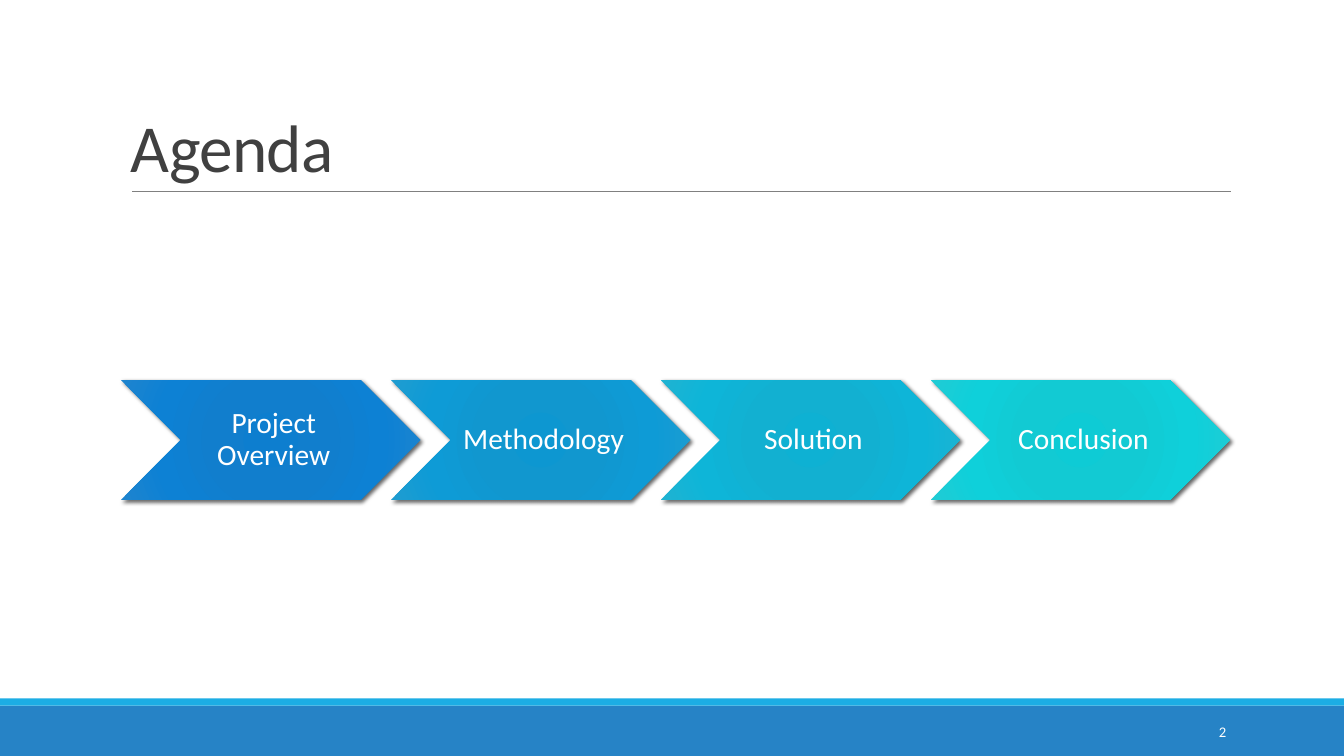
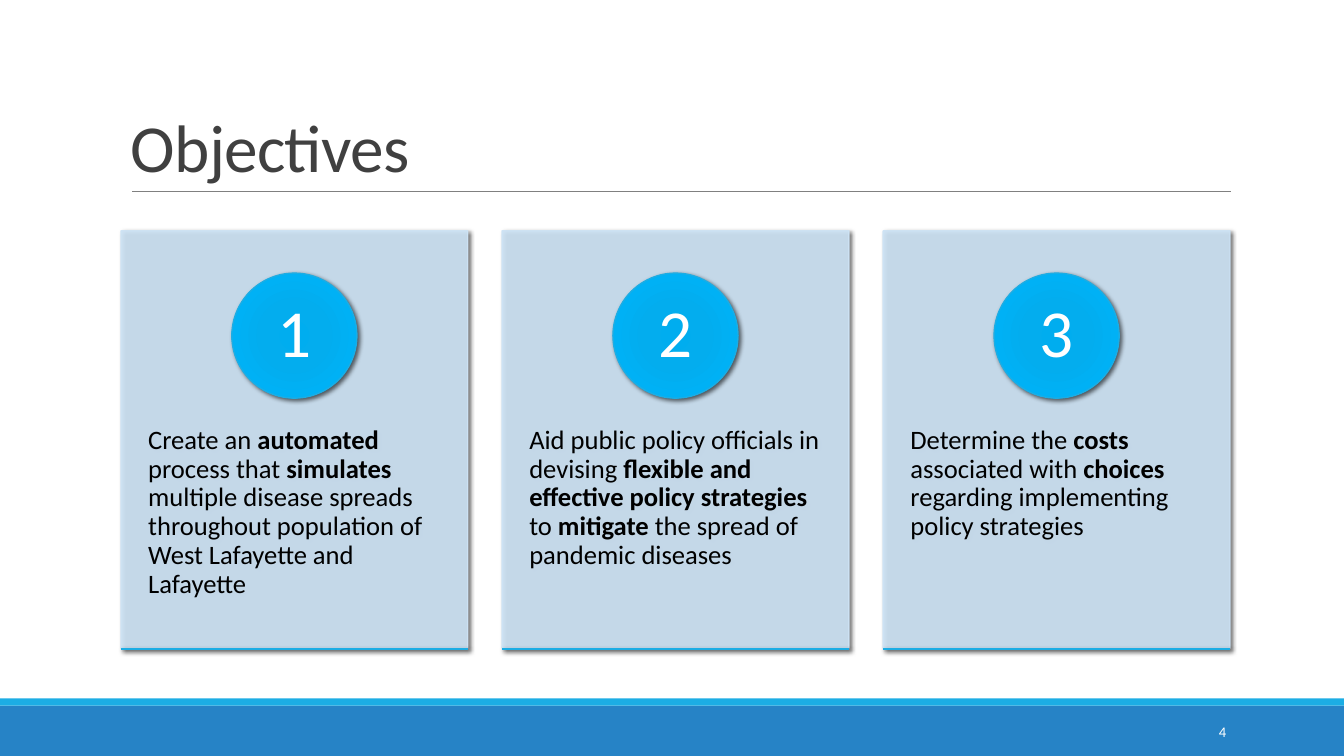
from lxml import etree
from pptx import Presentation
from pptx.dml.color import RGBColor
from pptx.enum.shapes import MSO_CONNECTOR, MSO_SHAPE
from pptx.enum.text import MSO_ANCHOR as Anchor, PP_ALIGN as Align
from pptx.oxml import parse_xml
from pptx.oxml.ns import nsdecls, qn
from pptx.util import Inches, Pt

COLORS = {
    "band": "2683C6", "accent": "1CADE4", "rule": "808080",
    "title": "404040", "white": "FFFFFF", "body": "000000",
    "card": "CDE3F5", "shadow": "000000",
}
FONT = "Calibri"
SLIDE_W, SLIDE_H = 13.33, 7.5
CONTENT_LEFT, CONTENT_W = 1.2, 11
GRADIENT_STOPS = (0, 34, 70, 100)
BADGE_GRADIENT = ("00ADEF", "03ADEE", "00B1F5", "12B1EE")

AGENDA = [
    ("Project Overview", ("0D7ECF", "117ECD", "0D81D4", "1E84CE")),
    ("Methodology", ("0D97D1", "1197CF", "0E9BD6", "1F9CD0")),
    ("Solution", ("0EB1D3", "12B0D1", "0EB5D8", "1FB3D2")),
    ("Conclusion", ("0ECBD5", "12CAD3", "0FD0DA", "20CBD4")),
]
# Text between ** marks is bold.
OBJECTIVES = [
    "Create an **automated** process that **simulates** multiple disease "
    "spreads throughout population of West Lafayette and Lafayette",
    "Aid public policy officials in devising **flexible and effective policy "
    "strategies** to **mitigate** the spread of pandemic diseases",
    "Determine the **costs** associated with **choices** regarding "
    "implementing policy strategies",
]


def rgb(name):
    return RGBColor.from_string(COLORS[name])


def inches(*lengths):
    return [Inches(length) for length in lengths]


def columns(count, width):
    """Left edges of equal columns that span the content width."""
    pitch = (CONTENT_W - width) / (count - 1)
    return [CONTENT_LEFT + i * pitch for i in range(count)]


def add_form(slide, preset, box, fill=None, line=None):
    form = slide.shapes.add_shape(preset, *inches(*box))
    form.shadow.inherit = False
    if fill:
        form.fill.solid()
        form.fill.fore_color.rgb = rgb(fill)
    if line:
        form.line.color.rgb = rgb(line)
        form.line.width = Pt(1)
    else:
        form.line.fill.background()
    return form


def add_line(slide, start, end, color, weight):
    line = slide.shapes.add_connector(MSO_CONNECTOR.STRAIGHT, *inches(*start, *end))
    line.line.color.rgb = rgb(color)
    line.line.width = Pt(weight)
    etree.SubElement(line._element.spPr, qn("a:effectLst"))
    return line


def set_radial_gradient(form, hexes):
    form.fill.gradient()
    stops = "".join(
        f'<a:gs pos="{pos * 1000}"><a:srgbClr val="{color}"/></a:gs>'
        for pos, color in zip(GRADIENT_STOPS, hexes))
    radial = parse_xml(
        f'<a:gradFill {nsdecls("a")} rotWithShape="1"><a:gsLst>{stops}</a:gsLst>'
        '<a:path path="circle"><a:fillToRect l="100000" t="100000" '
        'r="100000" b="100000"/></a:path></a:gradFill>')
    properties = form._element.spPr
    properties.replace(properties.find(qn("a:gradFill")), radial)


def set_opacity(form, percent):
    """Apply to the fill and the outline, before any shadow is cast."""
    for color in form._element.spPr.iter(qn("a:srgbClr")):
        etree.SubElement(color, qn("a:alpha"), val=str(percent * 1000))


def cast_shadow(form, blur=3):
    effects = form._element.spPr.find(qn("a:effectLst"))
    effects.append(parse_xml(
        f'<a:outerShdw {nsdecls("a")} blurRad="{Pt(blur)}" dist="{Pt(2)}" '
        f'dir="2700000" algn="br" rotWithShape="0"><a:srgbClr val="{COLORS["shadow"]}">'
        '<a:alpha val="60000"/></a:srgbClr></a:outerShdw>'))


def write(form, text, size, color, align=Align.LEFT, anchor=Anchor.MIDDLE,
          insets=(0.1, 0.05, 0.1, 0.05), spacing=0.9):
    frame = form.text_frame
    frame.word_wrap = True
    frame.vertical_anchor = anchor
    (frame.margin_left, frame.margin_top,
     frame.margin_right, frame.margin_bottom) = inches(*insets)
    paragraph = frame.paragraphs[0]
    paragraph.alignment = align
    paragraph.line_spacing = spacing
    font = paragraph.font
    font.name, font.size, font.color.rgb = FONT, Pt(size), rgb(color)
    for i, part in enumerate(text.split("**")):
        run = paragraph.add_run()
        run.text = part
        if i % 2:
            run.font.bold = True
    return paragraph


def add_base(deck, title, number):
    """A blank slide with the bands, title, rule and page number."""
    slide = deck.slides.add_slide(deck.slide_layouts[6])
    add_form(slide, MSO_SHAPE.RECTANGLE, (0, 7, SLIDE_W, 0.5), "band")
    add_form(slide, MSO_SHAPE.RECTANGLE, (0, 6.93, SLIDE_W, 0.07), "accent")
    add_line(slide, (1.31, 1.9), (12.21, 1.9), "rule", 0.5)

    heading = slide.shapes.add_textbox(*inches(CONTENT_LEFT, 0.31, CONTENT_W, 1.59))
    paragraph = write(heading, title, 48, "title", anchor=Anchor.BOTTOM, spacing=0.85)
    for run in paragraph.runs:
        run.font._element.set("spc", "-50")

    page = slide.shapes.add_textbox(*inches(10.83, 7.06, 1.43, 0.4))
    write(page, str(number), 10.5, "white", Align.RIGHT, spacing=1.0)
    return slide


def add_step(slide, left, width, label, gradient):
    step = add_form(slide, MSO_SHAPE.CHEVRON, (left, 3.77, width, 1.19))
    set_radial_gradient(step, gradient)
    cast_shadow(step)
    write(step, label, 21, "white", Align.CENTER, insets=(0.09, 0.03, 0.03, 0.03))


def add_objective(slide, left, width, number, text):
    top, height, badge_size = 2.29, 4.14, 1.24
    card = add_form(slide, MSO_SHAPE.RECTANGLE, (left, top, width, height),
                    "card", "card")
    set_opacity(card, 90)
    cast_shadow(card)
    write(card, text, 19, "body", anchor=Anchor.TOP, insets=(0.27, 1.94, 0.27, 0.36))

    badge_left = left + (width - badge_size) / 2
    badge = add_form(slide, MSO_SHAPE.OVAL,
                     (badge_left, top + 0.42, badge_size, badge_size), line="accent")
    set_radial_gradient(badge, BADGE_GRADIENT)
    cast_shadow(badge, 3.5)
    write(badge, str(number), 48, "white", Align.CENTER, insets=(0.1, 0.01, 0.1, 0.01))

    bottom = top + height + 0.01
    base = add_line(slide, (left, bottom), (left + width, bottom), "accent", 1)
    cast_shadow(base, 3.5)


def main():
    deck = Presentation()
    deck.slide_width, deck.slide_height = inches(SLIDE_W, SLIDE_H)

    agenda = add_base(deck, "Agenda", 2)
    step_w = 2.97
    for left, (label, gradient) in zip(columns(len(AGENDA), step_w), AGENDA):
        add_step(agenda, left, step_w, label, gradient)

    objectives = add_base(deck, "Objectives", 4)
    card_w = 3.44
    lefts = columns(len(OBJECTIVES), card_w)
    for number, (left, text) in enumerate(zip(lefts, OBJECTIVES), 1):
        add_objective(objectives, left, card_w, number, text)

    deck.save("out.pptx")


if __name__ == "__main__":
    main()
